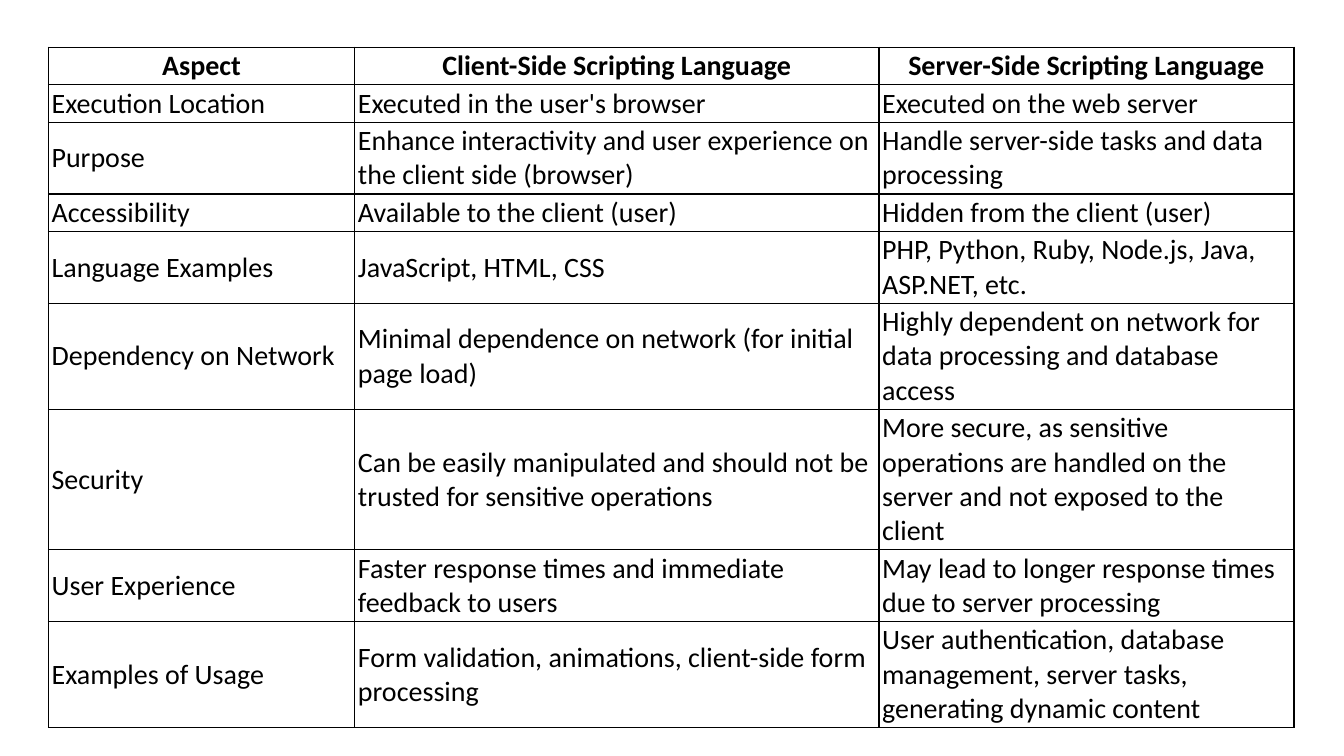
from dataclasses import dataclass

from pptx import Presentation
from pptx.dml.color import RGBColor
from pptx.enum.text import MSO_ANCHOR, PP_ALIGN
from pptx.oxml import parse_xml
from pptx.oxml.ns import nsdecls
from pptx.slide import Slide
from pptx.table import _Cell
from pptx.util import Cm, Pt

BLACK = RGBColor(0x00, 0x00, 0x00)
FONT = "Calibri"
TEXT_SIZE = Pt(20)
BORDER = Pt(1)

LEFT, TOP = Cm(1.22), Cm(1.19)
COLUMN_WIDTHS = [Cm(7.72), Cm(13.21), Cm(10.46)]
LINE_HEIGHT = Cm(0.86)
SIDE_MARGIN, EDGE_MARGIN = Cm(0.08), Cm(0.04)


@dataclass(frozen=True)
class Comparison:
    aspect: str
    client: str
    server: str
    lines: int = 1


HEADER = Comparison("Aspect", "Client-Side Scripting Language", "Server-Side Scripting Language")
COMPARISONS = [
    Comparison("Execution Location", "Executed in the user's browser",
               "Executed on the web server"),
    Comparison("Purpose",
               "Enhance interactivity and user experience on the client side (browser)",
               "Handle server-side tasks and data processing", 2),
    Comparison("Accessibility", "Available to the client (user)",
               "Hidden from the client (user)"),
    Comparison("Language Examples", "JavaScript, HTML, CSS",
               "PHP, Python, Ruby, Node.js, Java, ASP.NET, etc.", 2),
    Comparison("Dependency on Network",
               "Minimal dependence on network (for initial page load)",
               "Highly dependent on network for data processing and database access", 3),
    Comparison("Security",
               "Can be easily manipulated and should not be trusted for sensitive operations",
               "More secure, as sensitive operations are handled on the server "
               "and not exposed to the client", 4),
    Comparison("User Experience", "Faster response times and immediate feedback to users",
               "May lead to longer response times due to server processing", 2),
    Comparison("Examples of Usage",
               "Form validation, animations, client-side form processing",
               "User authentication, database management, server tasks, "
               "generating dynamic content", 3),
]


def add_borders(cell: _Cell) -> None:
    tc_pr = cell._tc.get_or_add_tcPr()
    for side in ("lnL", "lnR", "lnT", "lnB"):
        tc_pr.append(parse_xml(
            f'<a:{side} {nsdecls("a")} w="{BORDER}"><a:solidFill>'
            f'<a:srgbClr val="{BLACK}"/></a:solidFill></a:{side}>'))


def fill_cell(cell: _Cell, text: str, is_header: bool) -> None:
    """Write one cell's text and give it its borders, margins and font."""
    add_borders(cell)
    cell.fill.background()
    cell.margin_left = cell.margin_right = SIDE_MARGIN
    cell.margin_top = cell.margin_bottom = EDGE_MARGIN
    cell.vertical_anchor = MSO_ANCHOR.BOTTOM if is_header else MSO_ANCHOR.MIDDLE
    p = cell.text_frame.paragraphs[0]
    p.text = text
    p.alignment = PP_ALIGN.CENTER if is_header else PP_ALIGN.LEFT
    font = p.runs[0].font
    font.name, font.size, font.bold = FONT, TEXT_SIZE, is_header
    font.color.rgb = BLACK


def add_comparison_table(s: Slide, rows: list[Comparison]) -> None:
    heights = [row.lines * LINE_HEIGHT + 2 * EDGE_MARGIN for row in rows]
    table = s.shapes.add_table(len(rows), len(COLUMN_WIDTHS), LEFT, TOP,
                               sum(COLUMN_WIDTHS), sum(heights)).table
    table.horz_banding = False
    table.first_row = False
    for column, width in zip(table.columns, COLUMN_WIDTHS):
        column.width = width
    for table_row, height, row in zip(table.rows, heights, rows):
        table_row.height = height
        for cell, text in zip(table_row.cells, (row.aspect, row.client, row.server)):
            fill_cell(cell, text, row is HEADER)


def main() -> None:
    prs = Presentation()
    prs.slide_width, prs.slide_height = Cm(33.87), Cm(19.05)
    s = prs.slides.add_slide(prs.slide_layouts[6])
    add_comparison_table(s, [HEADER, *COMPARISONS])
    prs.save("out.pptx")


if __name__ == "__main__":
    main()
